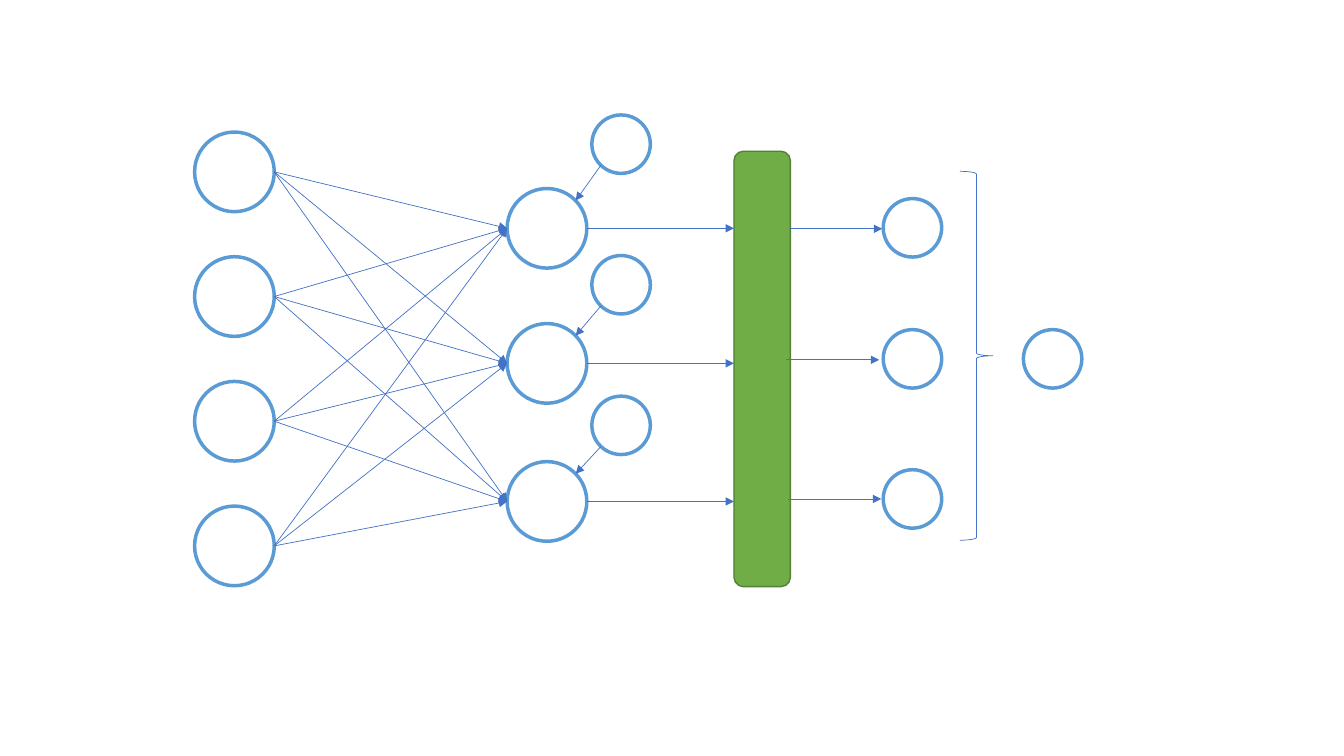
from lxml import etree
from pptx import Presentation
from pptx import util as u
from pptx.dml.color import RGBColor
from pptx.enum import shapes
from pptx.oxml.ns import qn

COLORS = {"neuron": "5B9BD5", "arrow": "4472C4", "layer": "70AD47", "layer_edge": "538035"}
NEURON = 0.79
SMALL = 0.58
INPUT_LEFT, HIDDEN_LEFT = 1.93, 5.03
BIAS_LEFT, OUTPUT_LEFT, RESULT_LEFT = 5.87, 8.76, 10.15
LAYER_LEFT = 7.28
INPUT_TOPS = [1.31 + 1.237 * row for row in range(4)]
HIDDEN_TOPS = [1.87, 3.21, 4.58]
BIAS_TOPS = [1.14 + 1.395 * row for row in range(3)]
OUTPUT_TOPS = [1.97, 3.27, 4.66]
OUTPUT_ARROWS = [(7.83, 2.27), (7.8, 3.57), (7.82, 4.95)]


class Diagram:
    def __init__(self, page):
        self.page = page

    def style_line(self, item, color, width):
        item.line.color.rgb = RGBColor.from_string(COLORS[color])
        item.line.width = u.Pt(width)

    def shape(self, kind, left, top, width, height, color, weight, fill=None):
        item = self.page.shapes.add_shape(
            kind, *(u.Inches(value) for value in (left, top, width, height)))
        item.shadow.inherit = False
        if fill:
            item.fill.solid()
            item.fill.fore_color.rgb = RGBColor.from_string(COLORS[fill])
        else:
            item.fill.background()
        self.style_line(item, color, weight)

    def neuron(self, left, top, size):
        self.shape(shapes.MSO_SHAPE.OVAL, left, top, size, size, "neuron", 2.5)

    def column(self, left, tops, size):
        for top in tops:
            self.neuron(left, top, size)

    def arrow(self, start, end):
        item = self.page.shapes.add_connector(
            shapes.MSO_CONNECTOR.STRAIGHT, *(u.Inches(value) for value in (*start, *end)))
        self.style_line(item, "arrow", 0.5)
        etree.SubElement(item.line._get_or_add_ln(), qn("a:tailEnd"), type="triangle")
        etree.SubElement(item._element.spPr, qn("a:effectLst"))


def main():
    deck = Presentation()
    deck.slide_width, deck.slide_height = u.Inches(13.33), u.Inches(7.5)
    diagram = Diagram(deck.slides.add_slide(deck.slide_layouts[6]))

    diagram.column(INPUT_LEFT, INPUT_TOPS, NEURON)
    diagram.column(HIDDEN_LEFT, HIDDEN_TOPS, NEURON)
    diagram.column(BIAS_LEFT, BIAS_TOPS, SMALL)

    for hidden_top, bias_top in zip(HIDDEN_TOPS, BIAS_TOPS):
        middle = hidden_top + NEURON / 2
        for input_top in INPUT_TOPS:
            diagram.arrow((INPUT_LEFT + NEURON, input_top + NEURON / 2), (HIDDEN_LEFT, middle))
        diagram.arrow((HIDDEN_LEFT + NEURON, middle), (LAYER_LEFT, middle))
        diagram.arrow((5.96, bias_top + 0.5), (5.71, hidden_top + 0.12))

    diagram.shape(shapes.MSO_SHAPE.ROUNDED_RECTANGLE, LAYER_LEFT, 1.5, 0.56, 4.32,
                  "layer_edge", 1, "layer")
    for left, middle in OUTPUT_ARROWS:
        diagram.arrow((left, middle), (left + 0.92, middle))
    diagram.column(OUTPUT_LEFT, OUTPUT_TOPS, SMALL)
    diagram.shape(shapes.MSO_SHAPE.RIGHT_BRACE, 9.52, 1.7, 0.33, 3.66, "arrow", 0.5)
    diagram.neuron(RESULT_LEFT, OUTPUT_TOPS[1], SMALL)

    deck.save("out.pptx")


if __name__ == "__main__":
    main()
